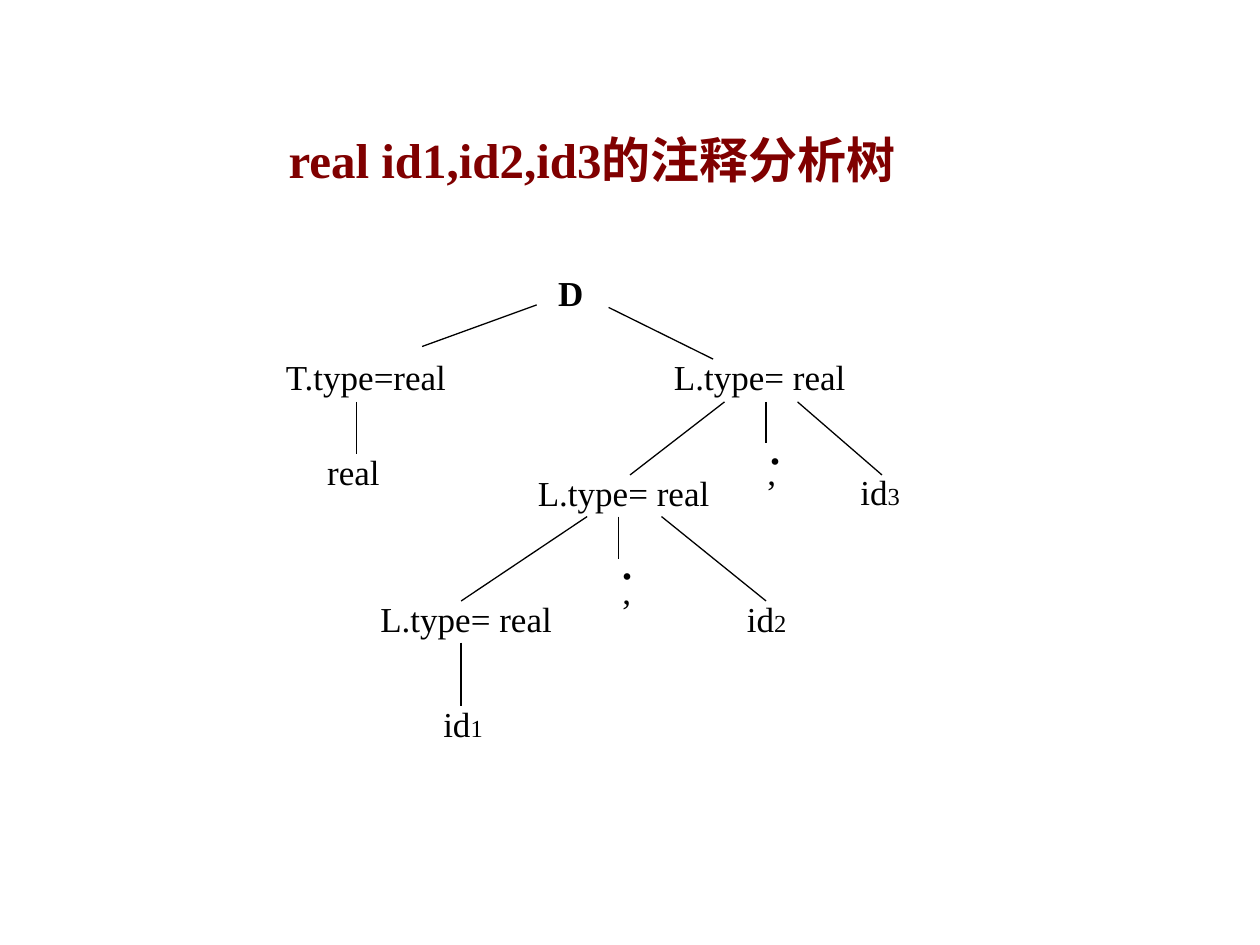
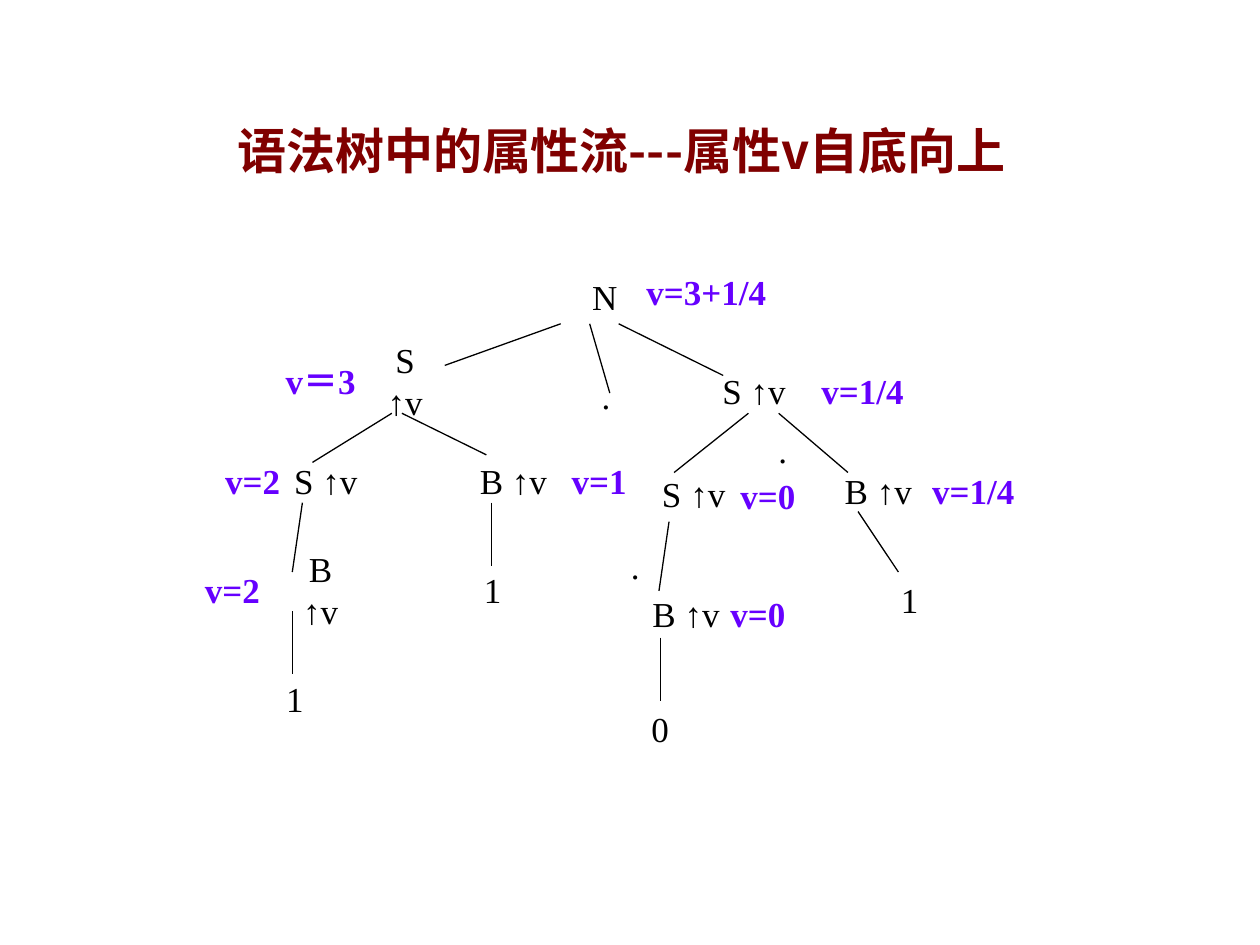
from typing import NamedTuple

from lxml import etree
from pptx import Presentation
from pptx.dml.color import RGBColor
from pptx.enum import shapes, text
from pptx.oxml import ns
from pptx.util import Inches, Pt

SERIF, SANS, ARROW_FONT = "Times New Roman", "Noto Sans CJK SC", "Arial"
BLACK, MAROON, VIOLET = "000000", "800000", "6600FF"
TITLE_SIZE, NODE_SIZE, INDEX_SIZE, DOT_SIZE = 28, 20, 14, 32
NODE_HEIGHT, DOT_HEIGHT = 0.44, 0.64


class Title(NamedTuple):
    words: str
    left: float
    top: float
    width: float
    font: str
    align: text.PP_ALIGN


class Node(NamedTuple):
    """A tree label; index is the small digit that follows it."""
    words: str
    left: float
    top: float
    width: float
    index: str = ""
    bold: bool = False
    color: str = BLACK
    size: int = NODE_SIZE
    height: float = NODE_HEIGHT
    wrap: bool = False


class Edge(NamedTuple):
    x1: float
    y1: float
    x2: float
    y2: float


def value(words: str, left: float, top: float, width: float = 0.63) -> Node:
    """The computed attribute value beside a node."""
    return Node(words, left, top, width, bold=True, color=VIOLET)


def big_dot(left: float, top: float) -> Node:
    return Node(".", left, top, 0.2, size=DOT_SIZE, height=DOT_HEIGHT, wrap=True)


def small_dot(left: float, top: float) -> Node:
    return Node(".", left, top, 0.2, wrap=True)


TYPE_TITLE = Title("real id1,id2,id3的注释分析树", 2.19, 0.98, 5.18, SERIF, text.PP_ALIGN.LEFT)
TYPE_NODES = [
    Node("D", 4.33, 2.1, 0.4, bold=True),
    Node("T.type=real", 2.16, 2.77, 1.49),
    Node("real", 2.5, 3.52, 0.61),
    Node("L.type= real", 5.25, 2.77, 1.56),
    Node("L.type= real", 4.17, 3.69, 1.56),
    Node("L.type= real", 2.92, 4.69, 1.56),
    Node("id", 3.42, 5.52, 0.51, "1"),
    Node("id", 5.83, 4.69, 0.51, "2"),
    Node("id", 6.73, 3.68, 0.51, "3"),
    big_dot(6, 3.19),
    big_dot(4.83, 4.1),
    Node(",", 5.99, 3.52, 0.27),
    Node(",", 4.84, 4.47, 0.27),
]
TYPE_EDGES = [
    Edge(4.26, 2.42, 3.35, 2.75),
    Edge(4.83, 2.44, 5.66, 2.85),
    Edge(2.83, 3.19, 2.83, 3.6),
    Edge(5.75, 3.19, 5, 3.77),
    Edge(6.08, 3.19, 6.08, 3.52),
    Edge(6.33, 3.19, 7, 3.77),
    Edge(4.66, 4.1, 3.66, 4.77),
    Edge(4.91, 4.1, 4.91, 4.44),
    Edge(5.25, 4.1, 6.08, 4.77),
    Edge(3.66, 5.1, 3.66, 5.6),
]

FLOW_TITLE = Title("语法树中的属性流---属性v自底向上", 1.32, 0.91, 7.22, SANS, text.PP_ALIGN.CENTER)
ZERO_LEAF = Node("0", 4.96, 5.56, 0.56)
ZERO_EDGE = Edge(5.24, 5.06, 5.24, 5.56)
FLOW_NODES = [
    Node("N", 4.29, 2.13, 1.02),
    Node("S ↑v", 2.88, 2.8, 0.67, wrap=True),
    Node("S ↑v", 5.55, 2.88, 0.87),
    Node("S ↑v", 2.18, 3.59, 0.81),
    Node("B ↑v", 3.69, 3.59, 0.77),
    Node("S ↑v", 5.1, 3.7, 0.81),
    Node("B ↑v", 6.46, 3.67, 1.02),
    Node("B ↑v", 2.19, 4.46, 0.71, wrap=True),
    Node("B ↑v", 5.06, 4.65, 0.77),
    Node("1", 3.74, 4.46, 0.34),
    Node("1", 7.05, 4.54, 0.34),
    Node("1", 2.17, 5.32, 0.34),
    Node(".", 4.41, 2.92, 0.8),
    small_dot(6.08, 3.35),
    small_dot(4.91, 4.27),
    value("v=3+1/4", 5.03, 2.09, 1.15),
    value("v＝3", 2.1, 2.8, 0.89),
    value("v=1/4", 6.42, 2.88, 0.85),
    value("v=2", 1.69, 3.59),
    value("v=1", 4.44, 3.59),
    value("v=0", 5.78, 3.71),
    value("v=1/4", 7.3, 3.67, 0.85),
    value("v=2", 1.53, 4.46),
    value("v=0", 5.7, 4.65),
]
FLOW_EDGES = [
    Edge(4.45, 2.57, 3.53, 2.9),
    Edge(4.68, 2.57, 4.84, 3.12),
    Edge(4.91, 2.57, 5.74, 2.98),
    Edge(3.11, 3.28, 2.48, 3.67),
    Edge(3.19, 3.28, 3.86, 3.61),
    Edge(5.94, 3.28, 5.35, 3.75),
    Edge(6.18, 3.28, 6.73, 3.75),
    Edge(2.4, 3.99, 2.32, 4.54),
    Edge(3.9, 3.99, 3.9, 4.49),
    Edge(5.31, 4.14, 5.23, 4.69),
    Edge(6.81, 4.06, 7.13, 4.54),
    Edge(2.32, 4.85, 2.32, 5.35),
]


def rgb(color: str) -> RGBColor:
    return RGBColor.from_string(color)


def style(para, font: str, size: int, color: str, bold: bool) -> None:
    para.font.name = font
    para.font.size = Pt(size)
    para.font.bold = bold
    para.font.color.rgb = rgb(color)
    east_asian = etree.SubElement(para.font._element, ns.qn("a:ea"))
    east_asian.set("typeface", SANS)


def add_page(deck, title: Title):
    page = deck.slides.add_slide(deck.slide_layouts[5])
    box = page.shapes.title
    box.left, box.top = Inches(title.left), Inches(title.top)
    box.width, box.height = Inches(title.width), Inches(0.57)
    frame = box.text_frame
    frame.word_wrap = True
    frame.auto_size = text.MSO_AUTO_SIZE.NONE
    frame.vertical_anchor = text.MSO_ANCHOR.TOP
    para = frame.paragraphs[0]
    para.alignment = title.align
    para.add_run().text = title.words
    style(para, title.font, TITLE_SIZE, MAROON, True)
    return page


def add_node(page, node: Node):
    box = page.shapes.add_textbox(Inches(node.left), Inches(node.top),
                                  Inches(node.width), Inches(node.height))
    frame = box.text_frame
    frame.word_wrap = node.wrap
    frame.vertical_anchor = text.MSO_ANCHOR.MIDDLE
    if not node.wrap:
        frame.margin_left = frame.margin_right = 0
    para = frame.paragraphs[0]
    para.alignment = text.PP_ALIGN.CENTER
    for words in filter(None, (*node.words.partition("↑"), node.index)):
        span = para.add_run()
        span.text = words
        if words == "↑":
            span.font.name = ARROW_FONT
        elif words == node.index:
            span.font.size = Pt(INDEX_SIZE)
    style(para, SERIF, node.size, node.color, node.bold)
    return box


def add_edge(page, edge: Edge):
    line = page.shapes.add_connector(shapes.MSO_CONNECTOR.STRAIGHT, *map(Inches, edge))
    line.line.color.rgb = rgb(BLACK)
    line.line.width = Pt(0.75)
    etree.SubElement(line._element.spPr, ns.qn("a:effectLst"))
    return line


def add_tree(deck, title: Title, nodes: list[Node], edges: list[Edge]):
    page = add_page(deck, title)
    for edge in edges:
        add_edge(page, edge)
    for node in nodes:
        add_node(page, node)
    return page


def main() -> None:
    deck = Presentation()
    deck.slide_width, deck.slide_height = Inches(10), Inches(7.5)
    add_tree(deck, TYPE_TITLE, TYPE_NODES, TYPE_EDGES)
    flow_page = add_tree(deck, FLOW_TITLE, FLOW_NODES, FLOW_EDGES)
    zero_box = add_node(flow_page, ZERO_LEAF)
    add_edge(flow_page, ZERO_EDGE).end_connect(zero_box, 0)
    deck.save("out.pptx")


if __name__ == "__main__":
    main()
